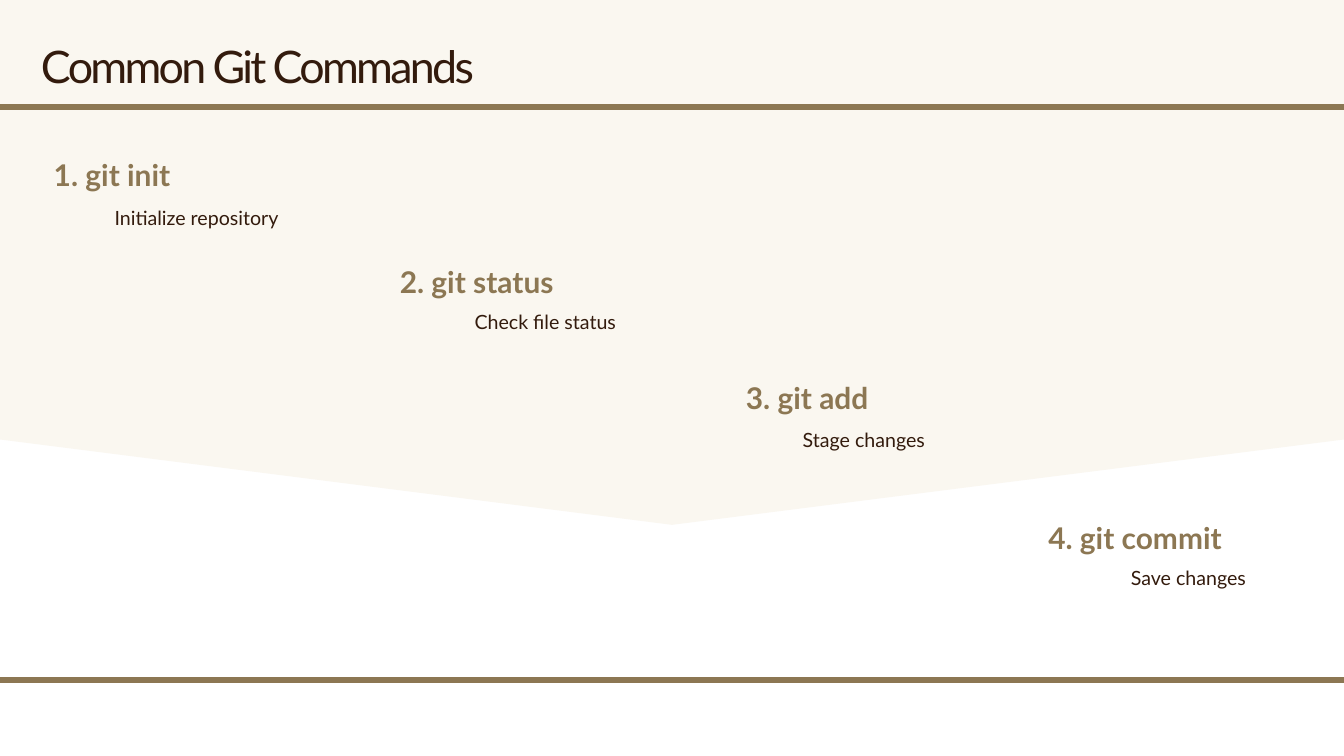
import pptx
import pptx.dml.color
import pptx.enum.shapes
import pptx.enum.text
import pptx.util
from pptx.util import Inches

COLORS = {"cream": "FAF7F0", "brown": "331B0D", "gold": "8C7753", "white": "FFFFFF"}
FONT = "Lato"
WIDTH, HEIGHT = 20, 11.25
ALIGN = pptx.enum.text.PP_ALIGN

# command, description, heading (left, top), description (left, top)
STEPS = [
    ("1. git init", "Initialize repository", (0.8, 2.24), (0.61, 3.01)),
    ("2. git status", "Check file status", (5.95, 3.84), (5.8, 4.56)),
    ("3. git add", "Stage changes", (11.1, 5.56), (10.54, 6.31)),
    ("4. git commit", "Save changes", (15.6, 7.64), (15.37, 8.36)),
]


def rgb(name):
    return pptx.dml.color.RGBColor.from_string(COLORS[name])


def write_text(shape, text, size, color, leading, bold=False, align=ALIGN.LEFT, spacing=None):
    frame = shape.text_frame
    frame.margin_left = frame.margin_top = frame.margin_right = frame.margin_bottom = 0
    frame.word_wrap = True
    frame.auto_size = pptx.enum.text.MSO_AUTO_SIZE.NONE
    frame.vertical_anchor = pptx.enum.text.MSO_ANCHOR.TOP
    para = frame.paragraphs[0]
    para.alignment = align
    para.line_spacing = pptx.util.Pt(leading)
    span = para.add_run()
    span.text = text
    span.font.name = FONT
    span.font.size = pptx.util.Pt(size)
    span.font.bold = bold
    span.font.color.rgb = rgb(color)
    if spacing is not None:
        span.font._element.set("spc", str(round(spacing * 100)))


def add_text(page, box, text, **style):
    shape = page.shapes.add_textbox(*map(Inches, box))
    write_text(shape, text, **style)


def add_backdrop(page, box):
    """Draw the cream panel whose lower edge points down, behind everything else."""
    left, top, width, height = box
    right, bottom = left + width, top + height
    shoulder = bottom - 1.27
    builder = page.shapes.build_freeform(Inches(left), Inches(top))
    corners = [(right, top), (right, shoulder), (left + width / 2, bottom), (left, shoulder)]
    builder.add_line_segments([(Inches(x), Inches(y)) for x, y in corners], close=True)
    panel = builder.convert_to_shape()
    panel.shadow.inherit = False
    panel.fill.solid()
    panel.fill.fore_color.rgb = rgb("cream")
    panel.line.fill.background()
    page.shapes._spTree.insert(2, panel._element)


def add_title(page, box, text):
    title = page.shapes.title
    title.left, title.top, title.width, title.height = map(Inches, box)
    write_text(title, text, size=48, color="brown", leading=48, spacing=-2.9)


def add_step(page, command, description, heading_at, description_at):
    add_text(page, (*heading_at, 3.14, 0.59), command,
             size=32, color="gold", leading=44.8, bold=True)
    add_text(page, (*description_at, 4.63, 0.4), description,
             size=21, color="brown", leading=29.4, align=ALIGN.CENTER)


def add_rule(page, top):
    rule = page.shapes.add_connector(
        pptx.enum.shapes.MSO_CONNECTOR.STRAIGHT, 0, Inches(top), Inches(WIDTH), Inches(top))
    rule.line.color.rgb = rgb("gold")
    rule.line.width = pptx.util.Pt(6)
    properties = rule._element.spPr
    properties.append(properties.makeelement(pptx.oxml.ns.qn("a:effectLst"), {}))


def main():
    deck = pptx.Presentation()
    deck.slide_width, deck.slide_height = Inches(WIDTH), Inches(HEIGHT)
    page = deck.slides.add_slide(deck.slide_layouts.get_by_name("Title Only"))
    page.background.fill.solid()
    page.background.fill.fore_color.rgb = rgb("white")

    add_backdrop(page, (0, 0, WIDTH, 7.81))
    add_title(page, (0.61, 0.71, 7.62, 1.36), "Common Git Commands")
    for step in STEPS:
        add_step(page, *step)
    for top in (1.59, 10.12):
        add_rule(page, top)
    deck.save("out.pptx")


if __name__ == "__main__":
    main()
